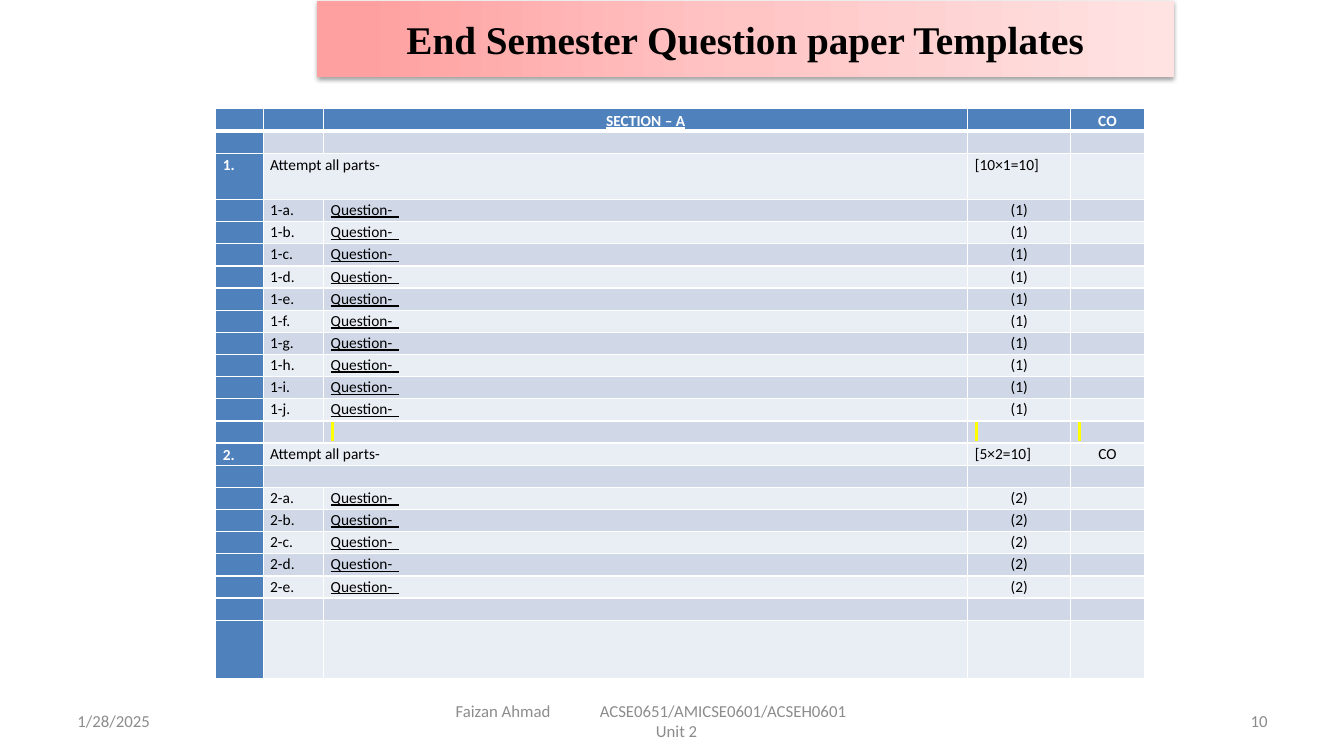
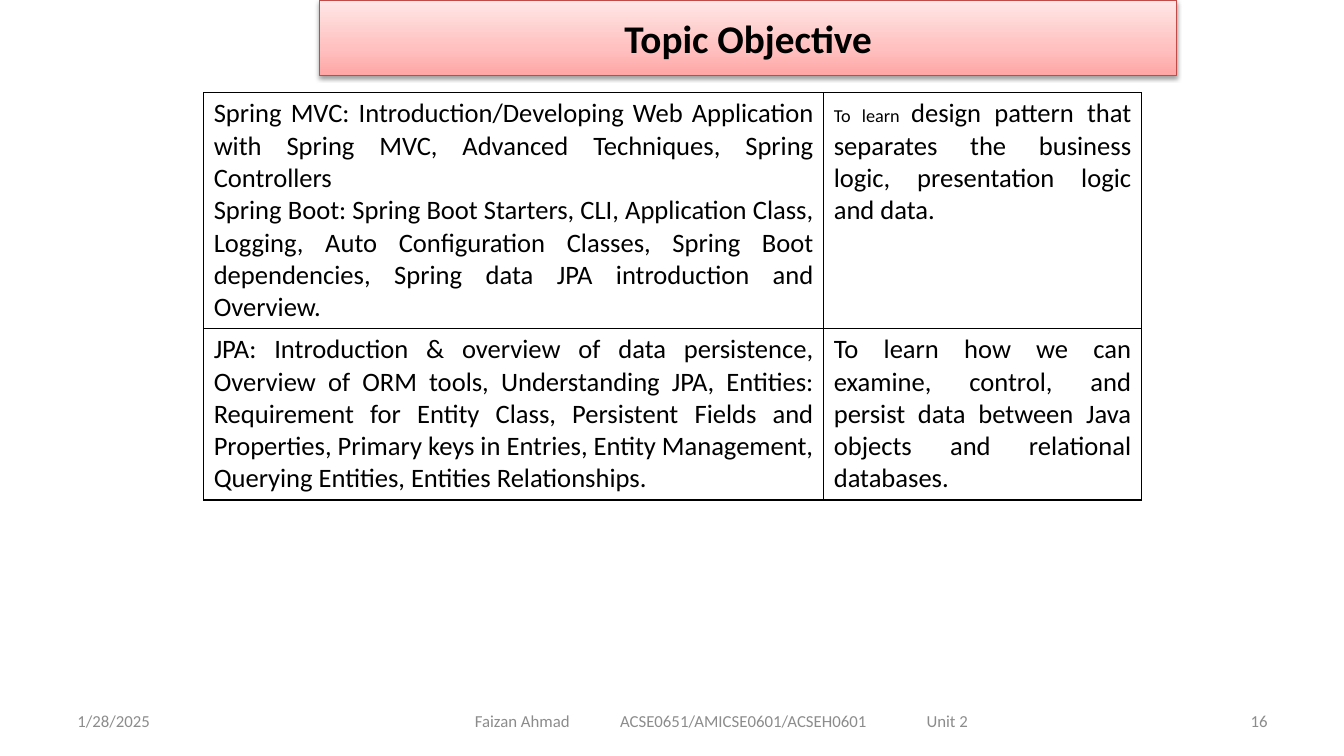
import pptx
import pptx.dml.color
import pptx.enum.text
import pptx.oxml
import pptx.oxml.ns
import pptx.util

Inches = pptx.util.Inches
Pt = pptx.util.Pt
ALIGN = pptx.enum.text.PP_ALIGN
ANCHOR = pptx.enum.text.MSO_ANCHOR
NAMESPACE = pptx.oxml.ns.nsdecls("a")

COLORS = {
    "black": "000000",
    "white": "FFFFFF",
    "footer": "8C8C8C",
    "head": "4F81BD",
    "odd_band": "D0D8E8",
    "even_band": "E9EDF4",
    "title_line": "BF4C48",
    "mark": "FFFF00",
}


def rgb(name):
    return pptx.dml.color.RGBColor.from_string(COLORS[name])


def apply(target, formats):
    for name, value in formats.items():
        setattr(target, name, value)


def element(xml):
    tag, rest = xml[1:].split(" ", 1)
    return pptx.oxml.parse_xml(f"<{tag} {NAMESPACE} {rest}")


class SlideBuilder:
    def __init__(self):
        self.deck = pptx.Presentation()
        apply(self.deck, {"slide_width": Inches(13.33), "slide_height": Inches(7.5)})
        self.page = None

    def add_page(self):
        self.page = self.deck.slides.add_slide(self.deck.slide_layouts[5])

    def add_text(self, para, text, size, color="black", font="Calibri", **formats):
        for index, line in enumerate(text.split("\n")):
            if index:
                para.add_line_break()
            span = para.add_run()
            span.text = line
            apply(span.font, {"name": font, "size": Pt(size), "bold": False, **formats})
            span.font.color.rgb = rgb(color)
        return span

    def title(self, text, left, top, stops, angle, font="Calibri", line=None):
        box = self.page.shapes.title
        apply(box, {"left": Inches(left), "top": Inches(top),
                    "width": Inches(8.5), "height": Inches(0.75)})
        gradient = "".join(
            f'<a:gs pos="{place * 1000}"><a:srgbClr val="{color}"/></a:gs>'
            for place, color in stops)
        properties = box._element.spPr
        properties.append(element(
            f'<a:gradFill rotWithShape="1"><a:gsLst>{gradient}</a:gsLst>'
            f'<a:lin ang="{angle * 60000}" scaled="0"/></a:gradFill>'))
        if line:
            box.line.color.rgb = rgb(line)
            box.line.width = Pt(0.75)
        else:
            box.line.fill.background()
        properties.append(element(
            '<a:effectLst ><a:outerShdw blurRad="40000" dist="20000" dir="5400000" '
            f'rotWithShape="0"><a:srgbClr val="{COLORS["black"]}"><a:alpha val="38000"/>'
            '</a:srgbClr></a:outerShdw></a:effectLst>'))
        apply(box.text_frame, {"word_wrap": True, "vertical_anchor": ANCHOR.MIDDLE})
        para = box.text_frame.paragraphs[0]
        para.alignment = ALIGN.CENTER
        self.add_text(para, text, 28, font=font, bold=True)

    def footer_box(self, left, width, lines, tabs=(), margin=0.1):
        box = self.page.shapes.add_textbox(
            Inches(left), Inches(6.95), Inches(width), Inches(0.4))
        frame = box.text_frame
        apply(frame, {"word_wrap": True, "vertical_anchor": ANCHOR.MIDDLE,
                      "margin_left": Inches(margin)})
        for index, (text, alignment) in enumerate(lines):
            para = frame.add_paragraph() if index else frame.paragraphs[0]
            para.alignment = alignment
            if tabs and "\t" in text:
                stops = "".join(f'<a:tab pos="{Inches(stop)}" algn="l"/>' for stop in tabs)
                para._p.get_or_add_pPr().append(element(f"<a:tabLst >{stops}</a:tabLst>"))
            self.add_text(para, text, 12, "footer")

    def footer(self, number, width, lines, tabs, margin):
        self.footer_box(0.67, 3.11, [("1/28/2025", ALIGN.LEFT)])
        self.footer_box(4.42, width, lines, tabs, margin)
        self.footer_box(9.56, 3.11, [(number, ALIGN.RIGHT)])

    def table(self, left, top, widths, heights):
        frame = self.page.shapes.add_table(
            len(heights), len(widths), Inches(left), Inches(top),
            Inches(sum(widths)), Inches(sum(heights)))
        grid = frame.table
        apply(grid, {"first_row": False, "horz_banding": False})
        for column, width in zip(grid.columns, widths):
            column.width = Inches(width)
        for row, height in zip(grid.rows, heights):
            row.height = Inches(height)
        return grid

    def dress(self, cell, fill, border, top=1, bottom=1):
        if fill:
            cell.fill.solid()
            cell.fill.fore_color.rgb = rgb(fill)
        else:
            cell.fill.background()
        properties = cell._tc.get_or_add_tcPr()
        sides = {"L": 1, "R": 1, "T": top, "B": bottom}
        for index, (side, width) in enumerate(sides.items()):
            properties.insert(index, element(
                f'<a:ln{side} w="{Pt(width)}"><a:solidFill>'
                f'<a:srgbClr val="{COLORS[border]}"/></a:solidFill></a:ln{side}>'))

    def highlight(self, span):
        properties = span._r.get_or_add_rPr()
        properties.find(pptx.oxml.ns.qn("a:latin")).addprevious(element(
            f'<a:highlight ><a:srgbClr val="{COLORS["mark"]}"/></a:highlight>'))

    def question_cell(self, cell, text, row, column):
        header = row == 0
        blue = header or column == 0
        band = "odd_band" if row % 2 else "even_band"
        self.dress(cell, "head" if blue else band, "white",
                   top=3 if row == 1 else 1, bottom=3 if header else 1)
        apply(cell, {"margin_left": Inches(0.07), "margin_right": Inches(0.07),
                     "margin_top": 0, "margin_bottom": 0})
        para = cell.text_frame.paragraphs[0]
        if not text:
            para._p.append(element('<a:endParaRPr sz="1100"/>'))
            return
        centred = header or text == "CO" or text.startswith("(")
        apply(para, {"alignment": ALIGN.CENTER if centred else ALIGN.LEFT,
                     "line_spacing": 1.15 if row < 3 or column == 0 else 1.07})
        span = self.add_text(para, text, 11, "white" if blue else "black", bold=blue,
                             underline=text.startswith(("Question", "SECTION")))
        if text == " ":
            self.highlight(span)

    def question_table(self, rows, heights, merged):
        grid = self.table(2.14, 1.08, [0.47, 0.6, 6.39, 1.02, 0.73], heights)
        for row, texts in enumerate(rows):
            for column, text in enumerate(texts):
                self.question_cell(grid.cell(row, column), text, row, column)
        for row in merged:
            grid.cell(row, 1).merge(grid.cell(row, 2))

    def objective_table(self, rows):
        grid = self.table(2.02, 0.92, [6.15, 3.15], [2.34, 1.7])
        for row, texts in enumerate(rows):
            for column, spans in enumerate(texts):
                cell = grid.cell(row, column)
                self.dress(cell, None, "black")
                para = cell.text_frame.paragraphs[0]
                para.alignment = ALIGN.JUSTIFY
                for text, size in spans:
                    self.add_text(para, text, size)


def questions(part, letters, marks):
    return [["", f"{part}-{letter}.", "Question-  ", f"({marks})", ""] for letter in letters]


def main():
    builder = SlideBuilder()
    blank = [""] * 5
    rows = [
        ["", "", "SECTION – A", "", "CO"],
        blank,
        ["1.", "Attempt all parts-", "", "[10×1=10]", ""],
        *questions(1, "abcdefghij", 1),
        ["", "", " ", " ", " "],
        ["2.", "Attempt all parts-", "", "[5×2=10]", "CO"],
        blank,
        *questions(2, "abcde", 2),
        blank,
        blank,
    ]
    heights = [0.22] * len(rows)
    heights[2], heights[-1] = 0.46, 0.58

    builder.add_page()
    builder.footer("10", 4.58, [
        ("Faizan Ahmad\tACSE0651/AMICSE0601/ACSEH0601", ALIGN.LEFT),
        ("Unit 2", ALIGN.CENTER)], [1.43], 0.1)
    builder.question_table(rows, heights, merged=[2, 14, 15])
    builder.title("End Semester Question paper Templates", 3.14, 0.01,
                  [(5, "FFA0A0"), (50, "FFC5C5"), (100, "FFE3E3")], 0,
                  font="Times New Roman")

    builder.add_page()
    builder.footer("16", 5.5, [
        ("Faizan Ahmad\tACSE0651/AMICSE0601/ACSEH0601\tUnit 2", ALIGN.LEFT)],
        [1.44, 4.48], 0.29)
    builder.title("Topic Objective", 3.17, 0,
                  [(0, "FFA6A5"), (35, "FFC0BF"), (100, "FFE7E7")], 270,
                  line="title_line")
    builder.objective_table([
        [[("Spring MVC: Introduction/Developing Web Application with Spring MVC, "
           "Advanced Techniques, Spring Controllers\n"
           "Spring Boot: Spring Boot Starters, CLI, Application Class, Logging, "
           "Auto Configuration Classes, Spring Boot dependencies, "
           "Spring data JPA introduction and Overview.", 19)],
         [("To learn ", 13),
          ("design pattern that separates the business logic, "
           "presentation logic and data.", 19)]],
        [[("JPA: Introduction & overview of data persistence, Overview of ORM tools, "
           "Understanding JPA, Entities: Requirement for Entity Class, "
           "Persistent Fields and Properties, Primary keys in Entries, "
           "Entity Management, Querying Entities, Entities Relationships.", 19)],
         [("To learn how we can examine, control, and persist data between "
           "Java objects and relational databases.", 19)]],
    ])
    builder.deck.save("out.pptx")


if __name__ == "__main__":
    main()
